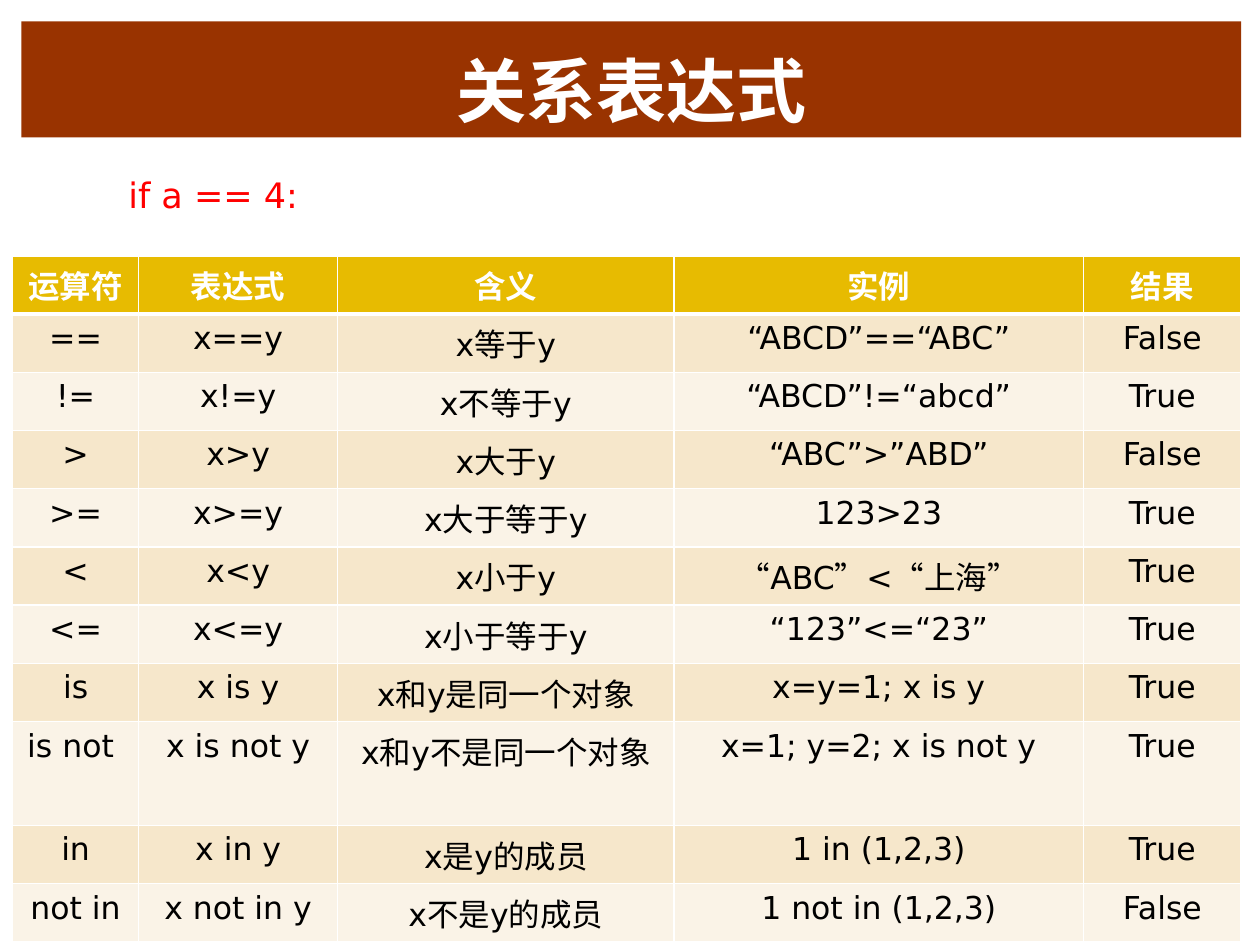
from lxml import etree
from pptx import Presentation
from pptx.dml.color import RGBColor
from pptx.enum.shapes import MSO_SHAPE
from pptx.enum.text import MSO_ANCHOR, MSO_AUTO_SIZE, PP_ALIGN
from pptx.oxml.ns import qn
from pptx.util import Inches, Pt

RECTANGLE = MSO_SHAPE.RECTANGLE
CENTER = PP_ALIGN.CENTER
BOTTOM = MSO_ANCHOR.BOTTOM
FIT_SHAPE = MSO_AUTO_SIZE.SHAPE_TO_FIT_TEXT

COLUMN_WIDTHS = [1, 1.58, 2.67, 3.25, 1.25]
ROW_HEIGHT = 0.41
HEADER_FILL = "E7BB01"
BAND_FILLS = ["FAF3E7", "F6E7CB"]
ROWS = [
    ["运算符", "表达式", "含义", "实例", "结果"],
    ["==", "x==y", "x等于y", "“ABCD”==“ABC”", "False"],
    ["!=", "x!=y", "x不等于y", "“ABCD”!=“abcd”", "True"],
    [">", "x>y", "x大于y", "“ABC”>”ABD”", "False"],
    [">=", "x>=y", "x大于等于y", "123>23", "True"],
    ["<", "x<y", "x小于y", "“ABC”<“上海”", "True"],
    ["<=", "x<=y", "x小于等于y", "“123”<=“23”", "True"],
    ["is", "x is y", "x和y是同一个对象", "x=y=1; x is y", "True"],
    ["is not ", "x is not y", "x和y不是同一个对象", "x=1; y=2; x is not y", "True"],
    ["in", "x in y", "x是y的成员", "1 in (1,2,3)", "True"],
    ["not in", "x not in y", "x不是y的成员", "1 not in (1,2,3)", "False"],
]


def style_text(paragraph, name, size, color, bold=False):
    font = paragraph.font
    font.name, font.size, font.bold = name, Pt(size), bold
    font.color.rgb = RGBColor.from_string(color)


def add_white_border(cell, side, width):
    """Side is L, R, T or B; call in that order and before filling the cell."""
    properties = cell._tc.get_or_add_tcPr()
    line = etree.SubElement(properties, qn(f"a:ln{side}"), w=str(Pt(width)))
    fill = etree.SubElement(line, qn("a:solidFill"))
    etree.SubElement(fill, qn("a:srgbClr"), val="FFFFFF")


presentation = Presentation()
presentation.slide_width, presentation.slide_height = Inches(10), Inches(7.5)
slide = presentation.slides.add_slide(presentation.slide_layouts[6])

# Title band
title = slide.shapes.add_shape(
    RECTANGLE, Inches(0.17), Inches(0.17), Inches(9.68), Inches(0.92))
title.shadow.inherit = False
title.fill.solid()
title.fill.fore_color.rgb = RGBColor.from_string("993300")
title.line.fill.background()
title.text_frame.vertical_anchor = BOTTOM
title.text_frame.text = "关系表达式"
paragraph = title.text_frame.paragraphs[0]
paragraph.alignment = CENTER
style_text(paragraph, "Arial", 40, "FFFFFF", bold=True)

# Operator table
table = slide.shapes.add_table(
    len(ROWS), len(COLUMN_WIDTHS), Inches(0.1), Inches(2.03),
    Inches(sum(COLUMN_WIDTHS)), Inches(ROW_HEIGHT * len(ROWS))).table
for column, width in zip(table.columns, COLUMN_WIDTHS):
    column.width = Inches(width)
for row_index, texts in enumerate(ROWS):
    table.rows[row_index].height = Inches(ROW_HEIGHT)
    is_header = row_index == 0
    fill_color = HEADER_FILL if is_header else BAND_FILLS[row_index % 2]
    border_widths = {"L": 1, "R": 1, "T": 3 if row_index == 1 else 1,
                     "B": 3 if is_header else 1}
    for cell, text in zip(table.rows[row_index].cells, texts):
        for side, width in border_widths.items():
            add_white_border(cell, side, width)
        cell.fill.solid()
        cell.fill.fore_color.rgb = RGBColor.from_string(fill_color)
        cell.text = text
        paragraph = cell.text_frame.paragraphs[0]
        paragraph.alignment = CENTER
        style_text(paragraph, "DejaVu Sans", 18,
                   "FFFFFF" if is_header else "000000", bold=is_header)

# Code example
example = slide.shapes.add_textbox(
    Inches(0.92), Inches(1.33), Inches(1.61), Inches(0.44))
example.text_frame.word_wrap = False
example.text_frame.auto_size = FIT_SHAPE
example.text_frame.text = "if a == 4:"
style_text(example.text_frame.paragraphs[0], "DejaVu Sans", 20, "FF0000")

presentation.save("out.pptx")
